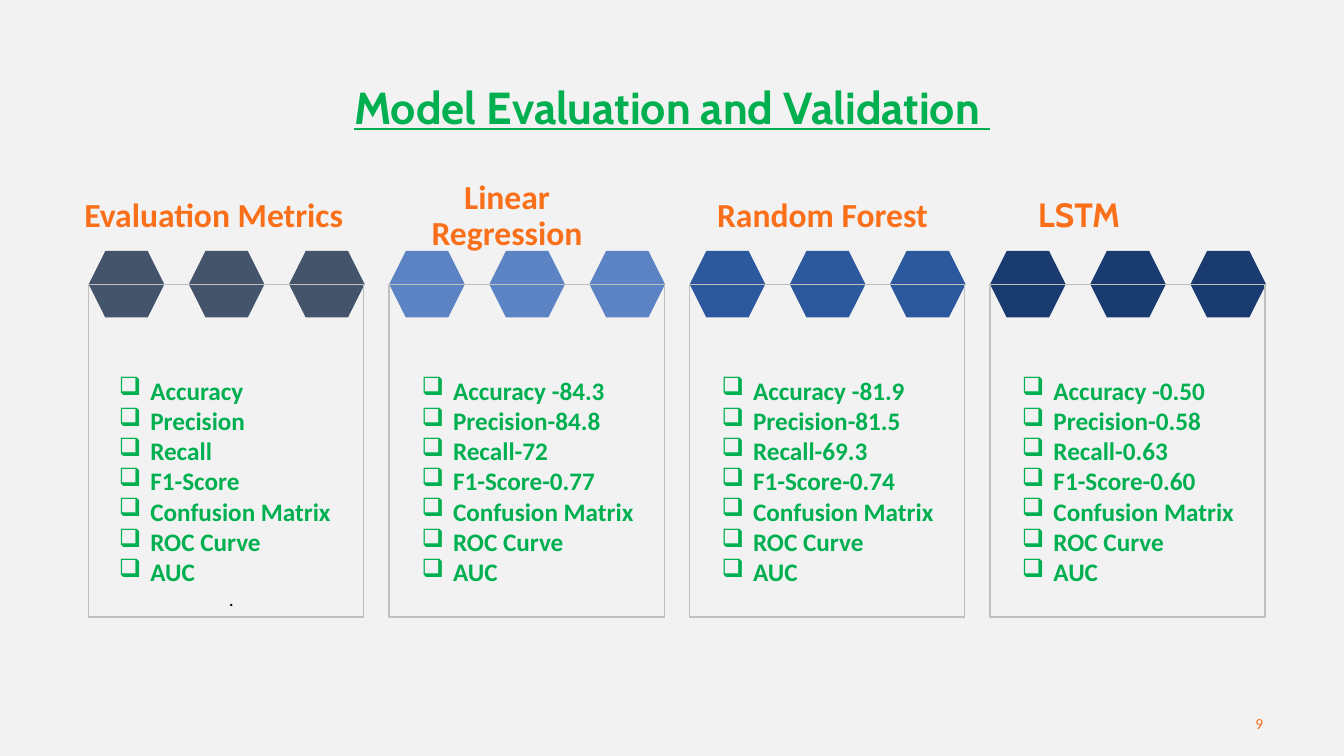
from dataclasses import dataclass

from lxml import etree
from pptx import Presentation
from pptx import util as u
from pptx.dml.color import RGBColor
from pptx.enum import shapes, text
from pptx.oxml import ns

GREEN, ORANGE, GREY, BLACK = "00B050", "FA6F1A", "BFBFBF", "000000"
FIRST_LEFT, HEXAGON_PITCH, HEXAGONS = 63.36, 71.54, 3
COLUMN_PITCH = HEXAGON_PITCH * HEXAGONS
BULLET_INDENT = 22.5


@dataclass
class Box:
    left: float
    top: float
    width: float
    height: float

    def lengths(self) -> list[u.Pt]:
        return [u.Pt(v) for v in (self.left, self.top, self.width, self.height)]


@dataclass
class Style:
    size: float
    color: str
    bold: bool = True
    font: str = "Calibri"
    underline: bool = False


@dataclass
class Model:
    heading: str
    heading_left: float
    heading_width: float
    hexagon_color: str
    list_left: float
    scores: tuple[str, str, str, str]
    heading_font: str = "Calibri"


MODELS = [
    Model("Evaluation Metrics", 45.36, 214.56, "44546A", 77.76,
          ("Accuracy", "Precision", "Recall", "F1-Score")),
    Model("Linear Regression", 280.08, 164.16, "5C83C4", 294,
          ("Accuracy -84.3", "Precision-84.8", "Recall-72", "F1-Score-0.77")),
    Model("Random Forest", 496.08, 182.88, "2C599D", 508.32,
          ("Accuracy -81.9", "Precision-81.5", "Recall-69.3", "F1-Score-0.74")),
    Model("LSTM", 709.2, 123.12, "1A3B70", 722.88,
          ("Accuracy -0.50", "Precision-0.58", "Recall-0.63", "F1-Score-0.60"), "Cabin"),
]
SHARED_METRICS = ("Confusion Matrix", "ROC Curve", "AUC")


def rgb(value: str) -> RGBColor:
    return RGBColor.from_string(value)


def add_run(paragraph, words: str, style: Style) -> None:
    run = paragraph.add_run()
    run.text = words
    font = run.font
    font.name, font.size = style.font, u.Pt(style.size)
    font.bold, font.underline = style.bold, style.underline
    font.color.rgb = rgb(style.color)


def add_frame(slide, box: Box, anchor):
    frame = slide.shapes.add_textbox(*box.lengths()).text_frame
    frame.word_wrap = True
    frame.vertical_anchor = anchor
    return frame


def add_label(slide, box: Box, words: str, style: Style,
              align=text.PP_ALIGN.CENTER, spacing: float = 0.9) -> None:
    paragraph = add_frame(slide, box, text.MSO_ANCHOR.MIDDLE).paragraphs[0]
    paragraph.alignment = align
    paragraph.line_spacing = spacing
    add_run(paragraph, words, style)


def add_outline(slide, kind, box: Box, fill: str = "", line: str = "") -> None:
    outline = slide.shapes.add_shape(kind, *box.lengths())
    outline.shadow.inherit = False
    if fill:
        outline.fill.solid()
        outline.fill.fore_color.rgb = rgb(fill)
    else:
        outline.fill.background()
    if line:
        outline.line.color.rgb = rgb(line)
        outline.line.width = u.Pt(1)
    else:
        outline.line.fill.background()


def add_bullet(paragraph) -> None:
    properties = paragraph._p.get_or_add_pPr()
    properties.set("marL", str(u.Pt(BULLET_INDENT)))
    properties.set("indent", str(-u.Pt(BULLET_INDENT)))
    etree.SubElement(properties, ns.qn("a:buChar")).set("char", "❑")


def add_metrics(slide, model: Model):
    frame = add_frame(slide, Box(model.list_left, 264.24, 168, 160), text.MSO_ANCHOR.TOP)
    frame.margin_right = 0
    for index, metric in enumerate(model.scores + SHARED_METRICS):
        paragraph = frame.add_paragraph() if index else frame.paragraphs[0]
        add_bullet(paragraph)
        add_run(paragraph, metric, Style(18, GREEN))
    return frame


def main() -> None:
    deck = Presentation()
    deck.slide_width, deck.slide_height = u.Pt(960), u.Pt(540)
    slide = deck.slides.add_slide(deck.slide_layouts[6])
    slide.background.fill.solid()
    slide.background.fill.fore_color.rgb = rgb("F2F2F2")

    # Title and slide number
    add_label(slide, Box(33.84, 51.12, 892.8, 55.44), "Model Evaluation and Validation ",
              Style(32, GREEN, font="Cabin", underline=True))
    add_label(slide, Box(693.36, 502.56, 216, 28.8), "9", Style(11, ORANGE, bold=False),
              text.PP_ALIGN.RIGHT, 1.0)

    # One column per model
    metric_frames = []
    for column, model in enumerate(MODELS):
        left = FIRST_LEFT + column * COLUMN_PITCH
        for place in range(HEXAGONS):
            add_outline(slide, shapes.MSO_SHAPE.HEXAGON,
                        Box(left + place * HEXAGON_PITCH, 179.28, 54, 47.52),
                        fill=model.hexagon_color)
        add_outline(slide, shapes.MSO_SHAPE.RECTANGLE, Box(left, 203.04, 196.5, 237.6), line=GREY)
        add_label(slide, Box(model.heading_left, 134.64, model.heading_width, 39.6),
                  model.heading, Style(24, ORANGE, font=model.heading_font))
        metric_frames.append(add_metrics(slide, model))

    # Closing dot under the first list
    closing = metric_frames[0].add_paragraph()
    closing.alignment = text.PP_ALIGN.CENTER
    add_run(closing, ".", Style(14, BLACK, bold=False))

    deck.save("out.pptx")


if __name__ == "__main__":
    main()
